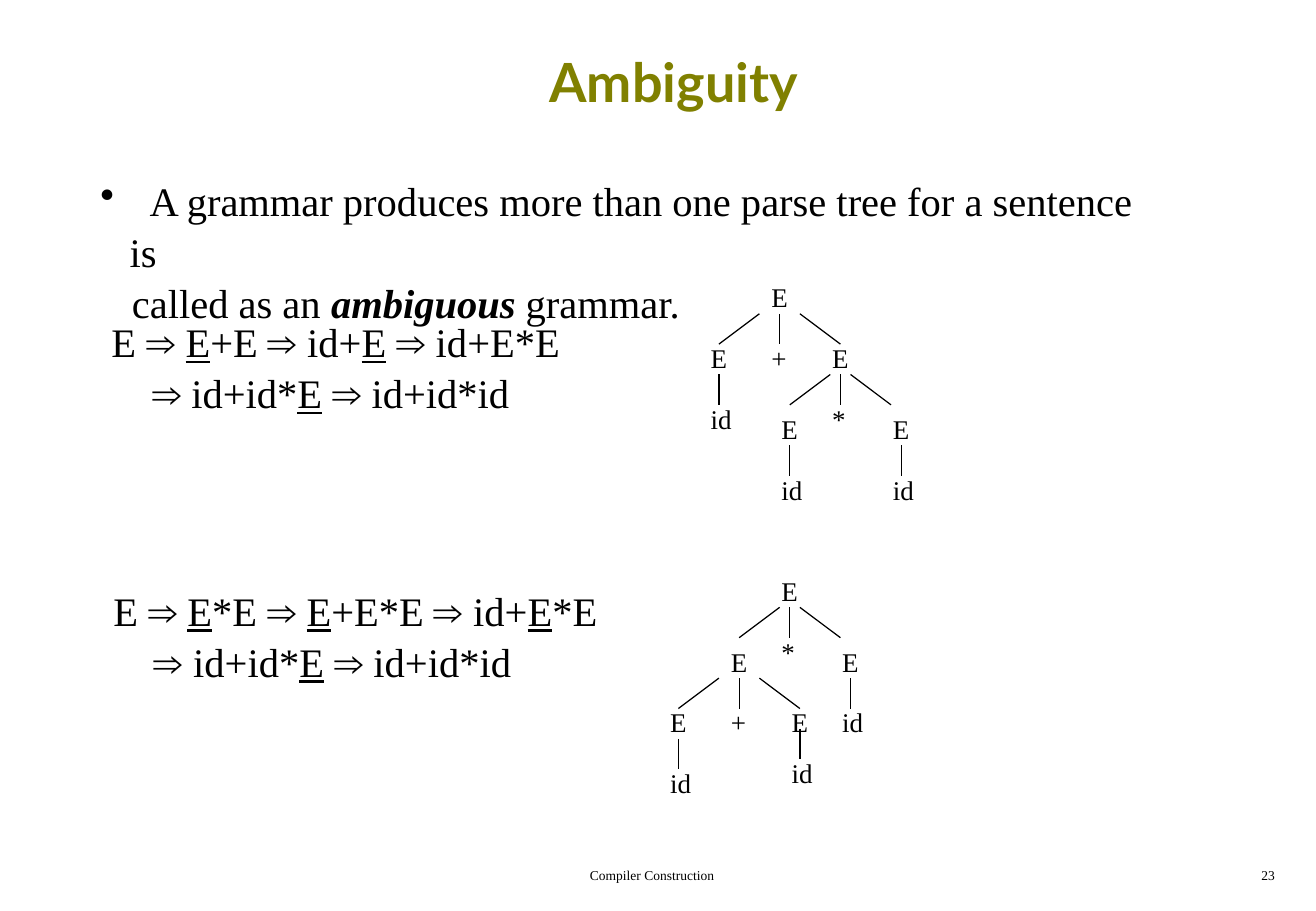
"""Build the slide on ambiguous grammars with two parse trees."""
import lxml.etree
import pptx
import pptx.dml.color
import pptx.enum.shapes
import pptx.enum.text
import pptx.oxml.ns
import pptx.util

Cm = pptx.util.Cm
Pt = pptx.util.Pt
ALIGN = pptx.enum.text.PP_ALIGN
ANCHOR = pptx.enum.text.MSO_ANCHOR

BODY_FONT, TITLE_FONT = "Times New Roman", "Lato"
BLACK, OLIVE = "000000", "808000"
LINE_SPACING = 1.05
UNIT = Cm(2.54 / 12)
STEM_DROP = 3
STEM_REACH = 4

TITLE = "Ambiguity"
FOOTER = "Compiler Construction"
PAGE_NUMBER = "23"

DEFINITION = [
    [("\tA grammar produces more than one parse tree for a sentence is", "")],
    [("called as an ", ""), ("ambiguous", "bi"), (" grammar.", "")],
]
LAST_STEPS = [("⇒ id+id*", ""), ("E", "u"), (" ⇒ id+id*id", "")]
DERIVATIONS = [
    (2.08, 6.45, [[("E ⇒ ", ""), ("E", "u"), ("+E ⇒ id+", ""), ("E", "u"),
                   (" ⇒ id+E*E", "")], LAST_STEPS]),
    (2.12, 12.07, [[("E ⇒ ", ""), ("E", "u"), ("*E ⇒ ", ""), ("E", "u"),
                    ("+E*E ⇒ id+", ""), ("E", "u"), ("*E", "")], LAST_STEPS]),
]

# Tree positions are counted in twelfths of an inch.
# Nodes: label, left, top. Stems: centre, top, spread (0 for a single child).
TREES = [
    {"nodes": [("E", 75, 27), ("E", 69, 33), ("+", 75, 33), ("E", 81, 33),
               ("id", 69, 39), ("E", 76, 40), ("*", 81, 39), ("E", 87, 40),
               ("id", 76, 46), ("id", 87, 46)],
     "stems": [(77, 31, 2), (71, 37, 0), (83, 37, 1), (78, 44, 0), (89, 44, 0)]},
    {"nodes": [("E", 76, 56), ("E", 71, 63), ("*", 76, 62), ("E", 82, 63),
               ("E", 65, 69), ("+", 71, 69), ("E", 77, 69), ("id", 82, 69),
               ("id", 65, 75), ("id", 77, 74)],
     "stems": [(78, 60, 1), (73, 67, 2), (84, 67, 0), (67, 73, 0), (79, 72, 0)]},
]


def color(hex_value):
    return pptx.dml.color.RGBColor.from_string(hex_value)


def add_text(shapes, box, lines, size, font=BODY_FONT, ink=BLACK, bold=None,
             align=ALIGN.LEFT, anchor=ANCHOR.TOP, wrap=True, spacing=LINE_SPACING):
    frame = shapes.add_textbox(*box).text_frame
    frame.word_wrap = wrap
    frame.vertical_anchor = anchor
    for index, runs in enumerate(lines):
        paragraph = frame.paragraphs[0] if index == 0 else frame.add_paragraph()
        paragraph.alignment = align
        paragraph.line_spacing = spacing
        paragraph.font.name = font
        paragraph.font.size = Pt(size)
        paragraph.font.bold = bold
        paragraph.font.color.rgb = color(ink)
        for text, style in runs:
            run = paragraph.add_run()
            run.text = text
            if "b" in style:
                run.font.bold = True
            if "i" in style:
                run.font.italic = True
            if "u" in style:
                run.font.underline = True
    return frame.paragraphs


def indent(paragraph, margin, first_line=0):
    properties = paragraph._p.get_or_add_pPr()
    properties.set("marL", str(Cm(margin)))
    properties.set("indent", str(Cm(first_line)))
    return properties


def add_bullet(paragraph, margin, tab):
    properties = indent(paragraph, margin, -margin)
    bullet = lxml.etree.Element(pptx.oxml.ns.qn("a:buChar"), char="•")
    tabs = lxml.etree.Element(pptx.oxml.ns.qn("a:tabLst"))
    lxml.etree.SubElement(tabs, pptx.oxml.ns.qn("a:tab"), pos=str(Cm(tab)), algn="l")
    defaults = properties.find(pptx.oxml.ns.qn("a:defRPr"))
    defaults.addprevious(bullet)
    defaults.addprevious(tabs)


def add_line(shapes, start_x, end_x, top):
    line = shapes.add_connector(
        pptx.enum.shapes.MSO_CONNECTOR.STRAIGHT,
        *(round(value * UNIT) for value in (start_x, top, end_x, top + STEM_DROP)))
    line.line.color.rgb = color(BLACK)
    line.line.width = Pt(0.75)
    lxml.etree.SubElement(line._element.spPr, pptx.oxml.ns.qn("a:effectLst"))


def add_tree(slide, tree):
    shapes = slide.shapes.add_group_shape().shapes
    for center, top, spread in tree["stems"]:
        add_line(shapes, center, center, top)
        if spread:
            for side in (-1, 1):
                add_line(shapes, center + side * spread,
                         center + side * (spread + STEM_REACH), top)
    for label, left, top in tree["nodes"]:
        add_text(shapes, (left * UNIT, top * UNIT, Cm(0.95), Cm(0.94)),
                 [[(label, "")]], 16, wrap=False)


def main():
    presentation = pptx.Presentation()
    presentation.slide_width, presentation.slide_height = Cm(27.51), Cm(19.05)
    slide = presentation.slides.add_slide(presentation.slide_layouts[6])
    shapes = slide.shapes

    add_text(shapes, (Cm(1.07), Cm(0.43), Cm(26.03), Cm(2.54)), [[(TITLE, "")]], 32,
             TITLE_FONT, OLIVE, True, ALIGN.CENTER, ANCHOR.MIDDLE, spacing=1)
    first, second = add_text(shapes, (Cm(1.85), Cm(3.5), Cm(22.6), Cm(3.3)),
                             DEFINITION, 24)
    add_bullet(first, 0.61, 1.03)
    indent(second, 0.66)
    for left, top, steps in DERIVATIONS:
        paragraphs = add_text(shapes, (Cm(left), Cm(top), Cm(11.6), Cm(2.31)),
                              steps, 24, wrap=False)
        indent(paragraphs[1], 0.85)
    for tree in TREES:
        add_tree(slide, tree)
    for text, left, width, align in ((FOOTER, 8.48, 10.31, ALIGN.CENTER),
                                     (PAGE_NUMBER, 21.16, 5.74, ALIGN.RIGHT)):
        add_text(shapes, (Cm(left), Cm(17.98), Cm(width), Cm(0.64)),
                 [[(text, "")]], 8, align=align)
    presentation.save("out.pptx")


if __name__ == "__main__":
    main()
